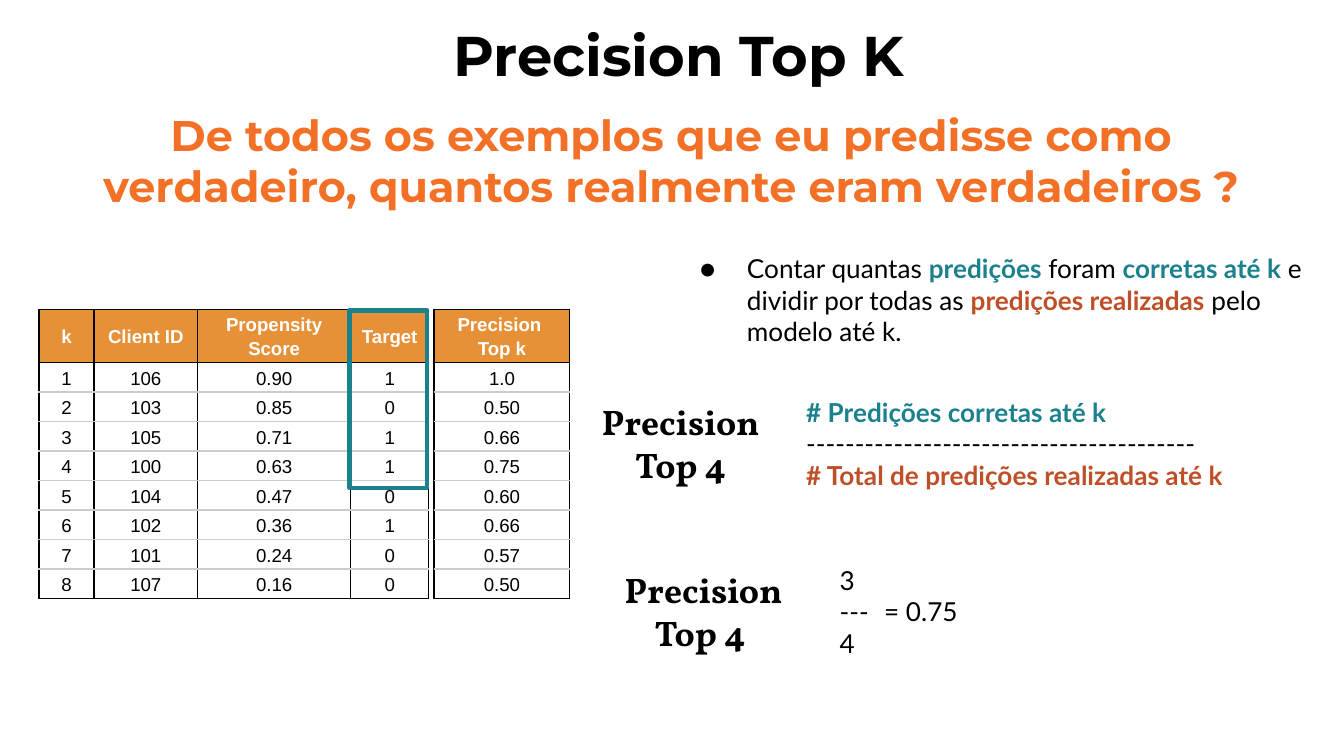
from dataclasses import dataclass

from lxml import etree
from pptx import Presentation
from pptx.dml.color import RGBColor
from pptx.enum.shapes import MSO_SHAPE
from pptx.enum.text import MSO_ANCHOR, MSO_AUTO_SIZE, PP_ALIGN
from pptx.oxml.ns import qn
from pptx.util import Inches, Pt

RECTANGLE = MSO_SHAPE.RECTANGLE
TOP, MIDDLE = MSO_ANCHOR.TOP, MSO_ANCHOR.MIDDLE
NO_AUTOFIT = MSO_AUTO_SIZE.NONE
LEFT, CENTER = PP_ALIGN.LEFT, PP_ALIGN.CENTER


@dataclass(frozen=True)
class Theme:
    black: str = "000000"
    white: str = "FFFFFF"
    orange: str = "F37126"
    header: str = "E69138"
    grid: str = "CCCCCC"
    teal: str = "1B818D"
    rust: str = "BF4F27"
    heading_font: str = "Montserrat"
    body_font: str = "Lato"
    label_font: str = "Vollkorn"
    table_font: str = "Arial"
    title_size: float = 30
    question_size: float = 23
    label_size: float = 19
    body_size: float = 14
    table_size: float = 10
    border_width: float = 0.75
    highlight_width: float = 2.25


THEME = Theme()


@dataclass(frozen=True)
class Box:
    left: float
    top: float
    width: float
    height: float

    def lengths(self) -> list:
        return [Inches(v) for v in (self.left, self.top, self.width, self.height)]


@dataclass(frozen=True)
class Run:
    text: str
    color: str = THEME.black
    bold: bool = False


@dataclass(frozen=True)
class TextBlock:
    box: Box
    paragraphs: list
    font: str = THEME.body_font
    size: float = THEME.body_size
    align: int = LEFT
    anchor: int = TOP
    indent: float = 0
    bullet: str = ""


@dataclass(frozen=True)
class Grid:
    box: Box
    column_widths: list
    rows: list


def apply(target: object, values: dict) -> None:
    for name, value in values.items():
        setattr(target, name, value)


def add_run(paragraph, run: Run, font: str, size: float) -> None:
    piece = paragraph.add_run()
    piece.text = run.text
    apply(piece.font, {"name": font, "size": Pt(size), "bold": run.bold})
    piece.font.color.rgb = RGBColor.from_string(run.color)


def indent_paragraph(paragraph, block: TextBlock) -> None:
    properties = paragraph._p.get_or_add_pPr()
    properties.set("marL", str(Inches(block.indent)))
    properties.set("indent", str(Inches(-0.35 if block.bullet else 0)))
    if block.bullet:
        bullet_color = etree.SubElement(properties, qn("a:buClr"))
        etree.SubElement(bullet_color, qn("a:srgbClr"), val=THEME.black)
        etree.SubElement(properties, qn("a:buSzPts"), val=str(block.size * 100))
        etree.SubElement(properties, qn("a:buFont"), typeface=block.font)
        etree.SubElement(properties, qn("a:buChar"), char=block.bullet)


def fill_text(shape, block: TextBlock) -> None:
    frame = shape.text_frame
    margins = dict.fromkeys(
        ("margin_left", "margin_top", "margin_right", "margin_bottom"), Inches(0.1))
    apply(frame, {"word_wrap": True, "auto_size": NO_AUTOFIT,
                  "vertical_anchor": block.anchor, **margins})
    for index, runs in enumerate(block.paragraphs):
        paragraph = frame.add_paragraph() if index else frame.paragraphs[0]
        paragraph.alignment = block.align
        if block.indent:
            indent_paragraph(paragraph, block)
        for run in runs:
            add_run(paragraph, run, block.font, block.size)


def add_text(slide, block: TextBlock) -> None:
    fill_text(slide.shapes.add_textbox(*block.box.lengths()), block)


def add_title(slide, block: TextBlock) -> None:
    title = slide.shapes.title
    apply(title, dict(zip(("left", "top", "width", "height"), block.box.lengths())))
    fill_text(title, block)


def set_borders(cell, top: str, bottom: str) -> None:
    properties = cell._tc.get_or_add_tcPr()
    sides = {"a:lnL": THEME.black, "a:lnR": THEME.black, "a:lnT": top, "a:lnB": bottom}
    for position, (side, color) in enumerate(sides.items()):
        line = etree.Element(qn(side), w=str(Pt(THEME.border_width)))
        fill = etree.SubElement(line, qn("a:solidFill"))
        etree.SubElement(fill, qn("a:srgbClr"), val=color)
        properties.insert(position, line)


def format_cell(cell, text: str, row: int, last_row: int) -> None:
    is_header = row == 0
    apply(cell, {"vertical_anchor": MIDDLE,
                 "margin_left": Inches(0.03), "margin_right": Inches(0.03),
                 "margin_top": Inches(0.02), "margin_bottom": Inches(0.02)})
    if is_header:
        cell.fill.solid()
        cell.fill.fore_color.rgb = RGBColor.from_string(THEME.header)
    else:
        cell.fill.background()
    set_borders(cell, THEME.black if row <= 1 else THEME.grid,
                THEME.black if row in (0, last_row) else THEME.grid)
    frame = cell.text_frame
    for index, line in enumerate(text.split("\n")):
        paragraph = frame.add_paragraph() if index else frame.paragraphs[0]
        apply(paragraph, {"alignment": CENTER, "line_spacing": 1.15})
        color = THEME.white if is_header else THEME.black
        add_run(paragraph, Run(line, color, is_header), THEME.table_font, THEME.table_size)


def add_grid(slide, grid: Grid) -> None:
    table = slide.shapes.add_table(
        len(grid.rows), len(grid.column_widths), *grid.box.lengths()).table
    apply(table, {"first_row": False, "horz_banding": False})
    for column, width in zip(table.columns, grid.column_widths):
        column.width = Inches(width)
    for index, values in enumerate(grid.rows):
        table.rows[index].height = Inches(0.22 if index else 0.38)
        for column, text in enumerate(values):
            format_cell(table.cell(index, column), text, index, len(grid.rows) - 1)


def add_highlight(slide, box: Box) -> None:
    highlight = slide.shapes.add_shape(RECTANGLE, *box.lengths())
    highlight.shadow.inherit = False
    highlight.fill.background()
    highlight.line.color.rgb = RGBColor.from_string(THEME.teal)
    highlight.line.width = Pt(THEME.highlight_width)


TITLE = TextBlock(Box(0.39, 0.05, 9.32, 0.7), [[Run("Precision Top K", bold=True)]],
                  THEME.heading_font, THEME.title_size, CENTER, MIDDLE)
QUESTION = TextBlock(
    Box(0.64, 0.74, 8.72, 0.9),
    [[Run("De todos os exemplos que eu predisse como verdadeiro, "
          "quantos realmente eram verdadeiros ?", THEME.orange, True)]],
    THEME.heading_font, THEME.question_size, CENTER, MIDDLE)
EXPLANATION = TextBlock(
    Box(4.96, 1.78, 4.97, 0.89),
    [[Run("Contar quantas "), Run("predições", THEME.teal, True), Run(" foram "),
      Run("corretas até k", THEME.teal, True), Run(" e dividir por todas as "),
      Run("predições realizadas", THEME.rust, True), Run(" pelo modelo até k.")]],
    indent=0.5, bullet="●")
FORMULA = TextBlock(
    Box(5.4, 2.85, 4.14, 0.89),
    [[Run("# Predições corretas até k", THEME.teal, True)], [Run("-" * 40)],
     [Run("# Total de predições realizadas até k", THEME.rust, True)]], indent=0.5)
FORMULA_LABEL, EXAMPLE_LABEL = [
    TextBlock(Box(left, top, 1.73, 0.25), [[Run(label, bold=True)]],
              THEME.label_font, THEME.label_size, CENTER, MIDDLE)
    for left, top, label in ((4.2, 3.17, "Precision Top 4"),
                             (4.37, 4.42, "Precision Top 4 "))]
FRACTION = TextBlock(Box(5.65, 4.1, 1.03, 0.89),
                     [[Run(line)] for line in ("3", "---", "4")], indent=0.5)
RESULT = TextBlock(Box(6.48, 4.42, 1.3, 0.25), [[Run("= 0.75")]], anchor=MIDDLE)

CLIENTS = [("106", "0.90", "1"), ("103", "0.85", "0"), ("105", "0.71", "1"),
           ("100", "0.63", "1"), ("104", "0.47", "0"), ("102", "0.36", "1"),
           ("101", "0.24", "0"), ("107", "0.16", "0")]
PRECISIONS = ["1.0", "0.50", "0.66", "0.75", "0.60", "0.66", "0.57", "0.50"]
RANKING = Grid(
    Box(0.29, 2.3, 2.9, 2.14), [0.41, 0.77, 1.14, 0.58],
    [("k", "Client ID", "Propensity Score", "Target"),
     *((str(k), *client) for k, client in enumerate(CLIENTS, 1))])
PRECISION = Grid(Box(3.23, 2.3, 1.01, 2.14), [1.01],
                 [("Precision \nTop k",), *((value,) for value in PRECISIONS)])


def main() -> None:
    deck = Presentation()
    apply(deck, {"slide_width": Inches(10), "slide_height": Inches(10) * 9 // 16})
    slide = deck.slides.add_slide(deck.slide_layouts[5])
    add_title(slide, TITLE)
    add_text(slide, QUESTION)
    add_grid(slide, RANKING)
    for block in (EXPLANATION, FORMULA, FORMULA_LABEL, EXAMPLE_LABEL, FRACTION, RESULT):
        add_text(slide, block)
    add_highlight(slide, Box(2.6, 2.31, 0.58, 1.32))
    add_grid(slide, PRECISION)
    deck.save("out.pptx")


if __name__ == "__main__":
    main()
